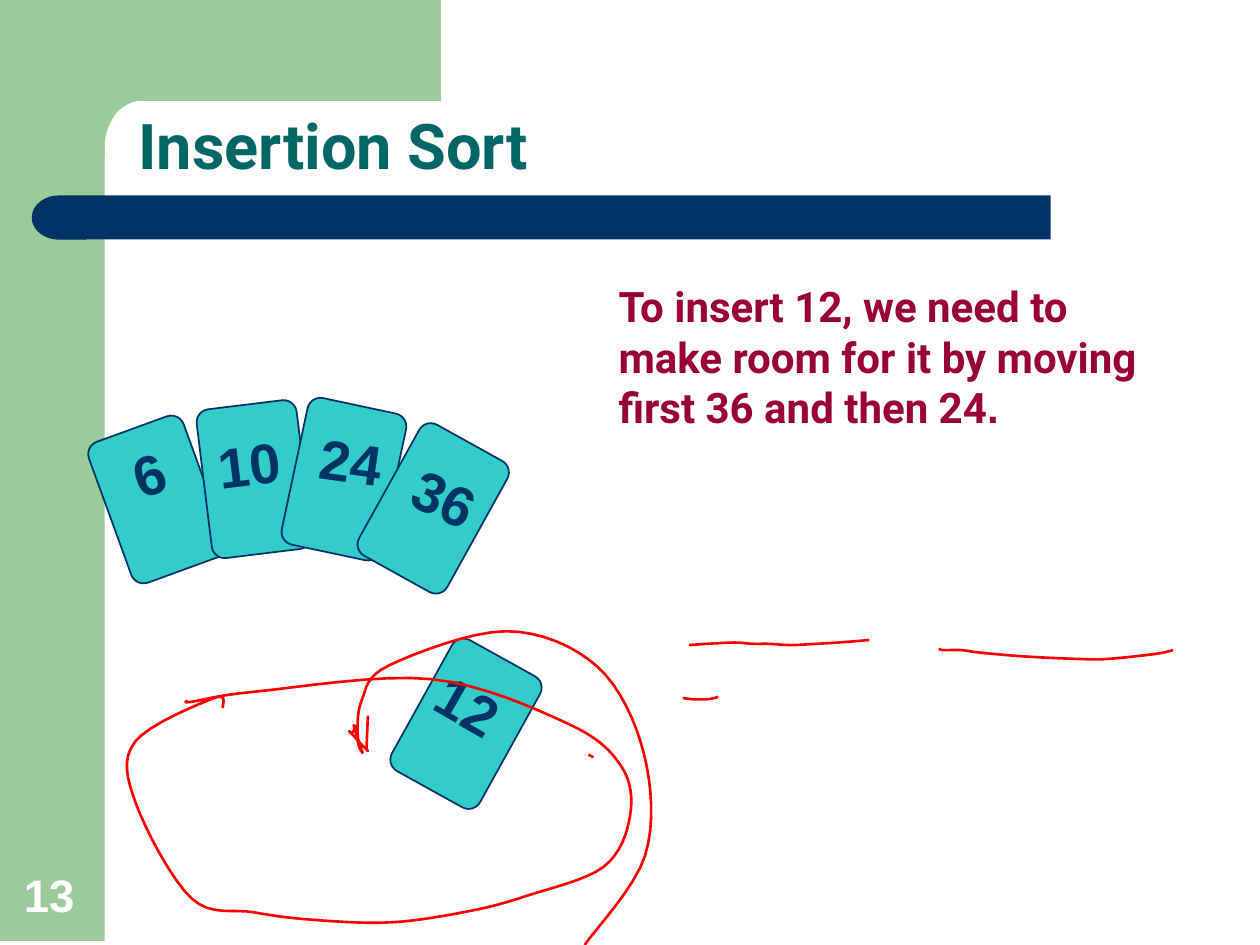
from dataclasses import dataclass

from pptx import Presentation
from pptx.dml.color import RGBColor
from pptx.enum.shapes import MSO_SHAPE
from pptx.enum.text import MSO_ANCHOR, MSO_AUTO_SIZE, PP_ALIGN
from pptx.util import Cm, Pt


@dataclass(frozen=True)
class Theme:
    """Colours, fonts and type sizes of the slide."""
    green: RGBColor = RGBColor(0x99, 0xCC, 0x99)
    navy: RGBColor = RGBColor(0x00, 0x33, 0x66)
    teal: RGBColor = RGBColor(0x00, 0x66, 0x66)
    card: RGBColor = RGBColor(0x33, 0xCC, 0xCC)
    maroon: RGBColor = RGBColor(0x99, 0x00, 0x33)
    ink: RGBColor = RGBColor(0xFF, 0x00, 0x00)
    white: RGBColor = RGBColor(0xFF, 0xFF, 0xFF)
    heading_font: str = "Roboto"
    number_font: str = "Arial"
    title_size: Pt = Pt(36)
    card_size: Pt = Pt(32)
    page_size: Pt = Pt(26)
    body_size: Pt = Pt(24)


THEME = Theme()
INK_UNIT = Cm(0.0254)
CARD_WIDTH, CARD_HEIGHT, LABEL_HEIGHT = 2.03, 3.02, 1.6

CARDS = [
    ("6", (2.16, 8.56, -20), (2.44, 8.74, 1.14, -19)),
    ("10", (4.11, 8.15, -7), (4.14, 8.53, 1.78, -7)),
    ("24", (5.92, 8.15, 12), (6.2, 8.48, 1.78, 8)),
    ("12", (8.38, 13.08, 29), (8.56, 13.41, 1.78, 30)),
    ("36", (7.72, 8.74, 29), (8.1, 9.22, 1.78, 25)),
]

CORNER_ARC = [(111, 80), (103, 82), (93, 89), (86, 101), (83, 113)]

INK_STROKES = [
    [(547, 512), (561, 511), (583, 510), (598, 511), (610, 511), (628, 512),
     (648, 511), (665, 510), (690, 508)],
    [(177, 562), (170, 554), (107, 589), (108, 638), (152, 713), (201, 724),
     (248, 730), (311, 732), (373, 723), (418, 711), (479, 688), (500, 648),
     (493, 608), (450, 574), (342, 539), (202, 549), (152, 557), (149, 556)],
    [(745, 515), (749, 516), (763, 516), (778, 518), (813, 521), (855, 523),
     (879, 523), (917, 519), (931, 516)],
    [(542, 554), (550, 555), (561, 555), (567, 554), (570, 553)],
    [(467, 599), (471, 601)],
    [(464, 750), (512, 679), (511, 598), (474, 529), (402, 501), (309, 528),
     (287, 556), (284, 587), (288, 598)],
    [(288, 598), (281, 577), (282, 578), (279, 582), (278, 581), (291, 595),
     (291, 592), (292, 568)],
]


def smooth(anchors, steps=8):
    """Return points of a smooth curve through the anchors."""
    padded = [anchors[0], *anchors, anchors[-1]]
    points = [anchors[0]]
    for a, b, c, d in zip(padded, padded[1:], padded[2:], padded[3:]):
        for t in (step / steps for step in range(1, steps + 1)):
            points.append(tuple(
                q + t * (r - p) / 2
                + t ** 2 * (2 * p - 5 * q + 4 * r - s) / 2
                + t ** 3 * (3 * q - p - 3 * r + s) / 2
                for p, q, r, s in zip(a, b, c, d)))
    return points


def add_outline(slide, contours, close):
    """Draw contours given in ink units as one freeform."""
    scaled = [[(round(x * INK_UNIT), round(y * INK_UNIT)) for x, y in contour]
              for contour in contours]
    builder = slide.shapes.build_freeform(*scaled[0][0])
    for contour in scaled:
        builder.move_to(*contour[0])
        builder.add_line_segments(contour[1:], close=close)
    outline = builder.convert_to_shape()
    outline.shadow.inherit = False
    return outline


def paint(shape, fill):
    """Fill a shape without line or shadow."""
    shape.shadow.inherit = False
    shape.fill.solid()
    shape.fill.fore_color.rgb = fill
    shape.line.fill.background()


def add_block(slide, kind, box, fill, rotation=0):
    """Add a filled preset shape."""
    block = slide.shapes.add_shape(kind, *map(Cm, box))
    block.rotation = rotation
    paint(block, fill)
    return block


def style(paragraph, font, size, color):
    """Set the bold type of a left-aligned paragraph."""
    paragraph.alignment = PP_ALIGN.LEFT
    paragraph.font.name = font
    paragraph.font.size = size
    paragraph.font.bold = True
    paragraph.font.color.rgb = color


def add_text(slide, text, box, font, size, color, wrap=True):
    """Add a text box with one styled paragraph."""
    textbox = slide.shapes.add_textbox(*map(Cm, box))
    textbox.text_frame.word_wrap = wrap
    textbox.text_frame.text = text
    style(textbox.text_frame.paragraphs[0], font, size, color)
    return textbox


def add_card(slide, value, place, label_place):
    """Add a tilted playing card and its value."""
    left, top, tilt = place
    card = add_block(slide, MSO_SHAPE.ROUNDED_RECTANGLE,
                     (left, top, CARD_WIDTH, CARD_HEIGHT), THEME.card, tilt)
    card.adjustments[0] = 0.13
    card.line.color.rgb = THEME.navy
    card.line.width = Pt(1)
    *label_box, label_tilt = label_place
    label = add_text(slide, value, (*label_box, LABEL_HEIGHT),
                     THEME.number_font, THEME.card_size, THEME.navy, wrap=False)
    label.rotation = label_tilt


def add_frame(slide):
    """Add the green margin with its rounded corner and the navy bar."""
    add_block(slide, MSO_SHAPE.RECTANGLE, (0, 0, 2.11, 18.97), THEME.green)
    corner = [(350, 0), (350, 80), *smooth(CORNER_ARC),
              (83, 125), (50, 125), (50, 0)]
    paint(add_outline(slide, [corner], close=True), THEME.green)
    add_block(slide, MSO_SHAPE.RECTANGLE, (1.7, 3.94, 19.48, 0.89), THEME.navy)
    add_block(slide, MSO_SHAPE.FLOWCHART_DELAY, (0.64, 3.94, 1.09, 0.89),
              THEME.navy, 180)


def set_title(slide, text):
    """Place and style the title."""
    title = slide.shapes.title
    title.left, title.top, title.width, title.height = map(
        Cm, (2.54, 3.18, 17.48, 0.64))
    frame = title.text_frame
    frame.text = text
    frame.vertical_anchor = MSO_ANCHOR.BOTTOM
    frame.auto_size = MSO_AUTO_SIZE.NONE
    frame.paragraphs[0].line_spacing = 0.9
    style(frame.paragraphs[0], THEME.heading_font, THEME.title_size, THEME.teal)


def add_ink(slide):
    """Add the hand-drawn red strokes."""
    ink = add_outline(slide, [smooth(stroke) for stroke in INK_STROKES], False)
    ink.fill.background()
    ink.line.color.rgb = THEME.ink
    ink.line.width = Pt(1.5)


def main():
    """Build the slide and save it."""
    deck = Presentation()
    deck.slide_width, deck.slide_height = Cm(25.4), Cm(19.05)
    slide = deck.slides.add_slide(deck.slide_layouts[5])
    add_frame(slide)
    set_title(slide, "Insertion Sort")
    explanation = add_text(
        slide, "To insert 12, we need to make room for it by moving first 36 and then 24",
        (12.22, 5.54, 11.84, 4.32), THEME.heading_font, THEME.body_size, THEME.maroon)
    full_stop = explanation.text_frame.paragraphs[0].add_run()
    full_stop.text = "."
    full_stop.font.name = THEME.number_font
    for card in CARDS:
        add_card(slide, *card)
    page = add_text(slide, "13", (0.23, 17.35, 1.63, 1.35),
                    THEME.number_font, THEME.page_size, THEME.white)
    page.text_frame.vertical_anchor = MSO_ANCHOR.BOTTOM
    add_ink(slide)
    deck.save("out.pptx")


if __name__ == "__main__":
    main()
